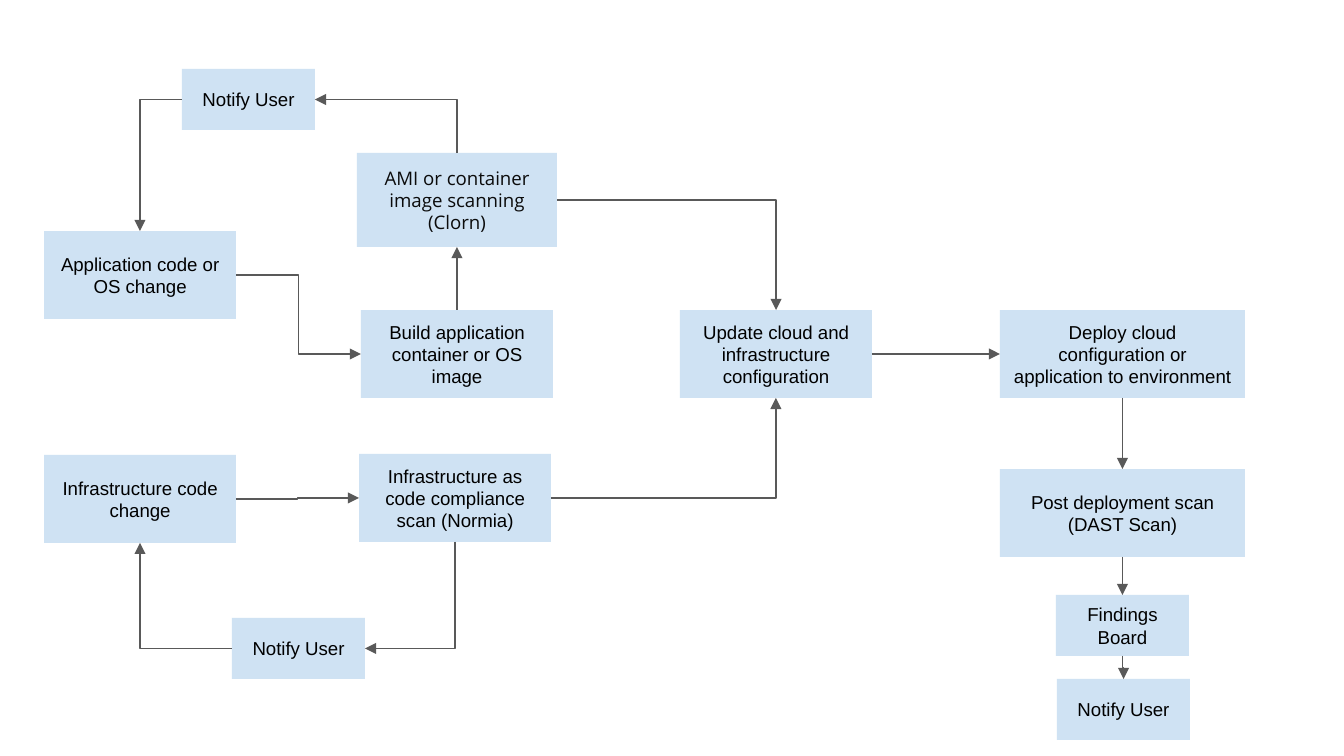
from pptx import Presentation
from pptx import util as u
from pptx.dml import color
from pptx.enum import shapes, text
from pptx.oxml import ns
from lxml import etree

EMU_PER_PX = 914400 / 134.4
TOP, LEFT, BOTTOM, RIGHT = range(4)
STEP = (192, 88)
WIDE_STEP = (245, 88)
NOTICE = (133, 61)


def px(length):
    return u.Emu(round(length * EMU_PER_PX))


def rgb(value):
    return color.RGBColor.from_string(value)


def add_box(slide, origin, offset, size, wording, font="Arial", ink="000000"):
    left, top = origin[0] + offset[0], origin[1] + offset[1]
    box = slide.shapes.add_shape(
        shapes.MSO_SHAPE.RECTANGLE, px(left), px(top), px(size[0]), px(size[1]))
    box.shadow.inherit = False
    box.fill.solid()
    box.fill.fore_color.rgb = rgb("CFE2F3")
    box.line.fill.background()
    frame = box.text_frame
    frame.word_wrap = True
    frame.vertical_anchor = text.MSO_ANCHOR.MIDDLE
    frame.margin_left = frame.margin_right = px(13)
    frame.margin_top = frame.margin_bottom = px(13)
    frame.text = wording
    for paragraph in frame.paragraphs:
        paragraph.alignment = text.PP_ALIGN.CENTER
        paragraph.line_spacing = u.Pt(12)
        paragraph.font.name = font
        paragraph.font.size = u.Pt(10)
        paragraph.font.color.rgb = rgb(ink)
    return box


def turn_vertical_first(connector):
    dx = connector.end_x - connector.begin_x
    dy = connector.end_y - connector.begin_y
    center_x = (connector.begin_x + connector.end_x) // 2
    center_y = (connector.begin_y + connector.end_y) // 2
    connector.width, connector.height = abs(dy), abs(dx)
    connector.left = center_x - abs(dy) // 2
    connector.top = center_y - abs(dx) // 2
    transform = connector._element.spPr.find(ns.qn("a:xfrm"))
    transform.set("rot", "5400000")
    transform.set("flipH", str(int(dy < 0)))
    transform.set("flipV", str(int(dx > 0)))


def add_arrow(slide, start, start_side, end, end_side):
    connector = slide.shapes.add_connector(shapes.MSO_CONNECTOR.ELBOW, 0, 0, 0, 0)
    connector.begin_connect(start, start_side)
    connector.end_connect(end, end_side)
    properties = connector._element.spPr
    geometry = properties.find(ns.qn("a:prstGeom"))
    if min(connector.width, connector.height) < px(1) // 2:
        geometry.set("prst", "line")
    else:
        if start_side % 2 != end_side % 2:
            geometry.set("prst", "bentConnector2")
        if start_side in (TOP, BOTTOM):
            turn_vertical_first(connector)
    connector.line.color.rgb = rgb("595959")
    connector.line.width = u.Pt(0.75)
    line = properties.find(ns.qn("a:ln"))
    etree.SubElement(line, ns.qn("a:tailEnd"), type="triangle")
    etree.SubElement(properties, ns.qn("a:effectLst"))


def add_application_lane(slide, origin):
    notice = add_box(slide, origin, (138, 0), NOTICE, "Notify User")
    change = add_box(slide, origin, (0, 162), STEP, "Application code or OS change")
    build = add_box(slide, origin, (317, 241), STEP,
                    "Build application container or OS image")
    scan = add_box(slide, origin, (313, 84), (200, 94),
                   "AMI or container image scanning (Clorn)", "Open Sans", "0B0B0B")
    add_arrow(slide, change, RIGHT, build, LEFT)
    add_arrow(slide, build, TOP, scan, BOTTOM)
    add_arrow(slide, scan, TOP, notice, RIGHT)
    add_arrow(slide, notice, LEFT, change, TOP)
    return scan


def add_infrastructure_lane(slide, origin):
    change = add_box(slide, origin, (0, 1), STEP, "Infrastructure code change")
    scan = add_box(slide, origin, (315, 0), STEP,
                   "Infrastructure as code compliance scan (Normia)")
    notice = add_box(slide, origin, (188, 164), NOTICE, "Notify User")
    add_arrow(slide, change, RIGHT, scan, LEFT)
    add_arrow(slide, scan, BOTTOM, notice, RIGHT)
    add_arrow(slide, notice, LEFT, change, BOTTOM)
    return scan


def add_deployment_lane(slide, origin):
    update = add_box(slide, origin, (0, 0), STEP,
                     "Update cloud and infrastructure configuration")
    deploy = add_box(slide, origin, (320, 0), WIDE_STEP,
                     "Deploy cloud configuration or application to environment")
    scan = add_box(slide, origin, (320, 159), WIDE_STEP,
                   "Post deployment scan\n(DAST Scan)")
    findings = add_box(slide, origin, (376, 285), NOTICE, "Findings Board")
    notice = add_box(slide, origin, (377, 369), NOTICE, "Notify User")
    add_arrow(slide, update, RIGHT, deploy, LEFT)
    for upper, lower in ((deploy, scan), (scan, findings), (findings, notice)):
        add_arrow(slide, upper, BOTTOM, lower, TOP)
    return update


def main():
    presentation = Presentation()
    presentation.slide_width, presentation.slide_height = px(1344), px(756)
    slide = presentation.slides.add_slide(presentation.slide_layouts[6])
    image_scan = add_application_lane(slide, (44, 69))
    code_scan = add_infrastructure_lane(slide, (44, 454))
    update = add_deployment_lane(slide, (680, 310))
    add_arrow(slide, image_scan, RIGHT, update, TOP)
    add_arrow(slide, code_scan, RIGHT, update, BOTTOM)
    presentation.save("out.pptx")


if __name__ == "__main__":
    main()
